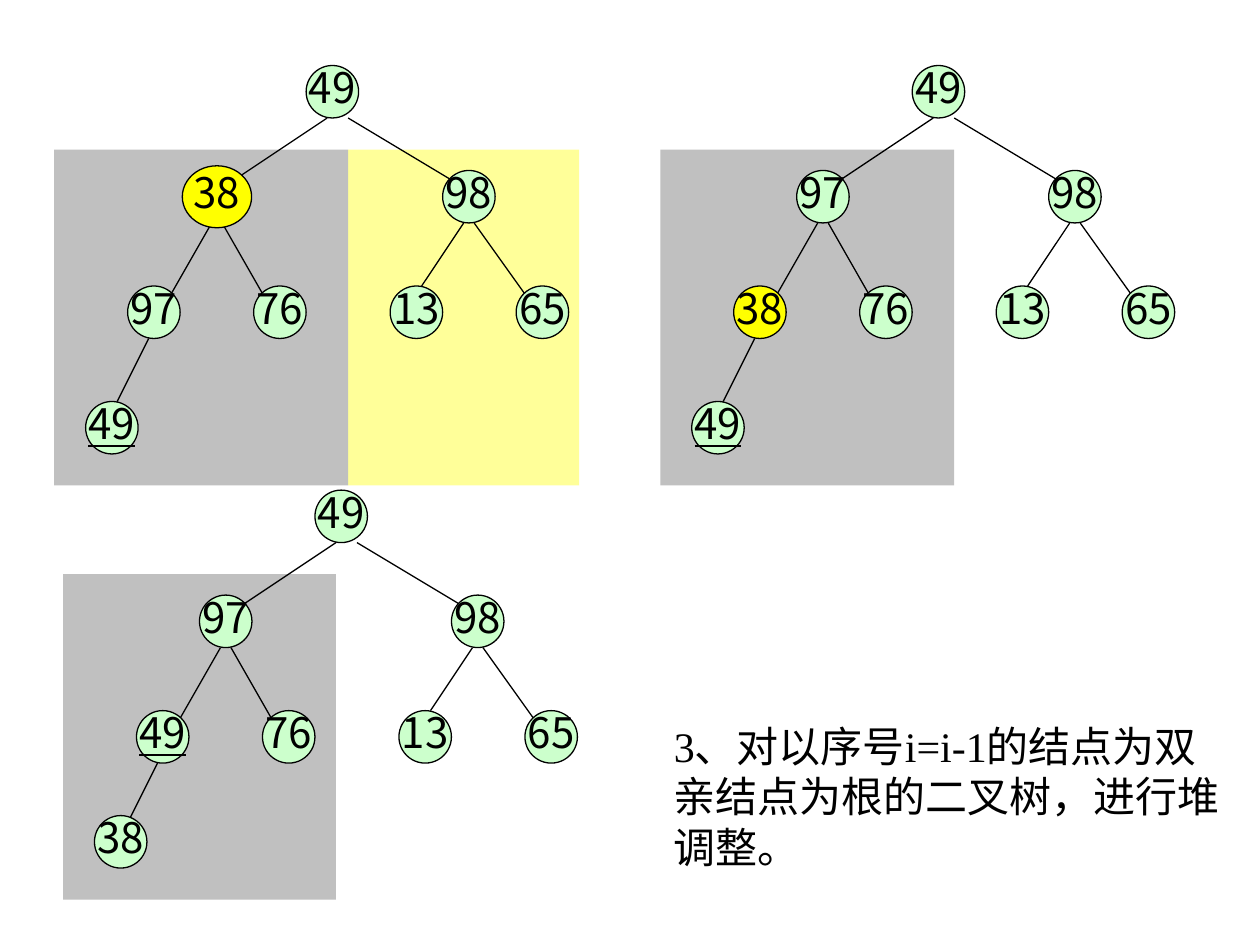
from lxml.etree import SubElement
from pptx import Presentation
from pptx.dml.color import RGBColor
from pptx.enum.shapes import MSO_CONNECTOR, MSO_SHAPE
from pptx.enum.text import MSO_ANCHOR, PP_ALIGN
from pptx.oxml.ns import qn
from pptx.util import Inches, Pt

BLACK = RGBColor(0x00, 0x00, 0x00)
GRAY = RGBColor(0xC0, 0xC0, 0xC0)
PALE_YELLOW = RGBColor(0xFF, 0xFF, 0x99)
YELLOW = RGBColor(0xFF, 0xFF, 0x00)
GREEN = RGBColor(0xCC, 0xFF, 0xCC)

CELL = Inches(1) / 12  # grid step; a node is 5 cells wide
NODE = 5

# Node corners and edge ends, in cells from the root's corner
NODE_CELLS = [(0, 0), (-11, 10), (13, 10), (-17, 21), (-5, 21), (8, 21), (20, 21)]
EDGES = [
    (2, 5, -7, 11), (4, 5, 14, 11),
    (-9, 15, -13, 22), (-8, 15, -4, 22),
    (15, 15, 11, 21), (16, 15, 21, 22),
    (-15, 26, -18, 32),
]

# Root corner in inches, values by level, underlined node, highlighted node
# with its size, row of the last leaf, and areas (column, width, height, colour)
TREES = [
    (2.43, 0.52, ["49", "38", "98", "97", "76", "13", "65", "49"], 7, (1, 6.6, 5.9), 32,
     [(4, 22, 32, PALE_YELLOW), (-24, 28, 32, GRAY)]),
    (7.24, 0.52, ["49", "97", "98", "38", "76", "13", "65", "49"], 7, (3, NODE, NODE), 32,
     [(-24, 28, 32, GRAY)]),
    (2.5, 3.89, ["49", "97", "98", "49", "76", "13", "65", "38"], 3, None, 31,
     [(-24, 26, 31, GRAY)]),
]

prs = Presentation()
prs.slide_width, prs.slide_height = Inches(10), Inches(7.5)
slide = prs.slides.add_slide(prs.slide_layouts[6])


def add_filled(kind, root, column, row, width, height, colour):
    shape = slide.shapes.add_shape(
        kind, int(root[0] + column * CELL), int(root[1] + row * CELL),
        int(width * CELL), int(height * CELL))
    shape.shadow.inherit = False
    shape.fill.solid()
    shape.fill.fore_color.rgb = colour
    return shape


for left, top, values, underlined, highlight, leaf_row, areas in TREES:
    root = Inches(left), Inches(top)

    # Subtree areas
    for column, width, height, colour in areas:
        area = add_filled(MSO_SHAPE.RECTANGLE, root, column, 8, width, height, colour)
        area.line.fill.background()

    # Edges
    for x1, y1, x2, y2 in EDGES:
        edge = slide.shapes.add_connector(
            MSO_CONNECTOR.STRAIGHT,
            int(root[0] + x1 * CELL), int(root[1] + y1 * CELL),
            int(root[0] + x2 * CELL), int(root[1] + y2 * CELL))
        edge.line.color.rgb = BLACK
        edge.line.width = Pt(0.75)
        SubElement(edge._element.spPr, qn("a:effectLst"))

    # Nodes
    cells = NODE_CELLS + [(-21, leaf_row)]
    for index, (value, (column, row)) in enumerate(zip(values, cells)):
        width, height, colour = NODE, NODE, GREEN
        if highlight and highlight[0] == index:
            width, height, colour = highlight[1], highlight[2], YELLOW
        node = add_filled(MSO_SHAPE.OVAL, root, column - (width - NODE) / 2,
                          row - (height - NODE) / 2, width, height, colour)
        node.line.color.rgb = BLACK
        node.line.width = Pt(0.75)
        frame = node.text_frame
        frame.text = value
        frame.word_wrap = False
        frame.vertical_anchor = MSO_ANCHOR.MIDDLE
        label = frame.paragraphs[0]
        label.alignment = PP_ALIGN.CENTER
        label.line_spacing = 0.8
        font = label.runs[0].font
        font.name = "Noto Sans CJK SC"
        font.size = Pt(24)
        font.color.rgb = BLACK
        if index == underlined:
            font.underline = True

# Step description
step = slide.shapes.add_textbox(Inches(5.25), Inches(5.67), Inches(4.58), Inches(1.3))
step.text_frame.word_wrap = True
step.text_frame.text = "3、对以序号i=i-1的结点为双亲结点为根的二叉树，进行堆调整。"
step_font = step.text_frame.paragraphs[0].runs[0].font
step_font.name = "Times New Roman"
step_font.size = Pt(24)
step_font.color.rgb = BLACK

prs.save("out.pptx")
